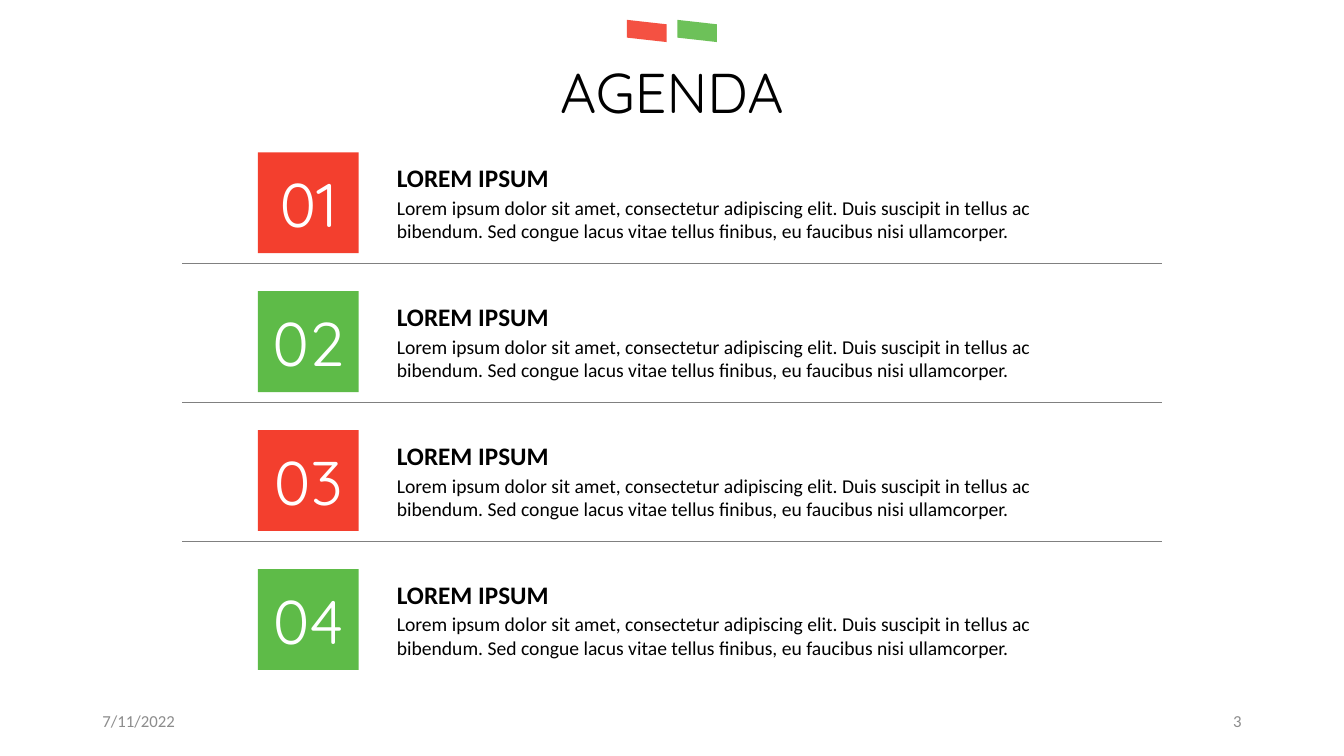
from lxml import etree
from pptx import Presentation
from pptx import util as u
from pptx.dml.color import RGBColor
from pptx.enum import shapes, text
from pptx.oxml.ns import qn

RED, GREEN, BLACK, WHITE = "F33F2E", "5EBB48", "000000", "FFFFFF"
RULE_GREY, FOOTER_GREY = "808080", "8C8C8C"

HEADING = "LOREM IPSUM"
DESCRIPTION = (
    "Lorem ipsum dolor sit amet, consectetur adipiscing elit. Duis suscipit in tellus ac "
    "bibendum. Sed congue lacus vitae tellus finibus, eu faucibus nisi ullamcorper."
)
AGENDA = [
    ("01", HEADING, DESCRIPTION, RED),
    ("02", HEADING, DESCRIPTION, GREEN),
    ("03", HEADING, DESCRIPTION, RED),
    ("04", HEADING, DESCRIPTION, GREEN),
]
FIRST_ROW, ROW_PITCH = 3.84, 3.5


def rgb(value):
    return RGBColor.from_string(value)


class SlideBuilder:
    display_font = "Quicksand"
    body_font = "Calibri"

    def __init__(self, slide):
        self.slide = slide

    def set_text(self, shape, words, size, color=BLACK, font=None, bold=False,
                 align=text.PP_ALIGN.LEFT, anchor=text.MSO_ANCHOR.TOP, inset=True):
        frame = shape.text_frame
        frame.word_wrap = True
        frame.vertical_anchor = anchor
        if not inset:
            frame.margin_left = frame.margin_right = 0
            frame.margin_top = frame.margin_bottom = 0
            frame.auto_size = text.MSO_AUTO_SIZE.SHAPE_TO_FIT_TEXT
        paragraph = frame.paragraphs[0]
        paragraph.text = words
        paragraph.alignment = align
        paragraph.font.name = font or self.body_font
        paragraph.font.size = u.Pt(size)
        paragraph.font.bold = bold
        paragraph.font.color.rgb = rgb(color)

    def title(self, words, left, top, width, height):
        title = self.slide.shapes.title
        title.left, title.top = u.Cm(left), u.Cm(top)
        title.width, title.height = u.Cm(width), u.Cm(height)
        self.set_text(title, words, 40, font=self.display_font,
                      align=text.PP_ALIGN.CENTER, inset=False)

    def text_box(self, words, left, top, width, height, size, **style):
        box = self.slide.shapes.add_textbox(
            u.Cm(left), u.Cm(top), u.Cm(width), u.Cm(height))
        self.set_text(box, words, size, **style)

    def block(self, kind, left, top, width, height, color):
        shape = self.slide.shapes.add_shape(
            kind, u.Cm(left), u.Cm(top), u.Cm(width), u.Cm(height))
        shape.shadow.inherit = False
        shape.fill.solid()
        shape.fill.fore_color.rgb = rgb(color)
        shape.line.fill.background()
        return shape

    def flag(self, left, top, color):
        """Add a slanted, slightly transparent tab above the title."""
        shape = self.block(shapes.MSO_SHAPE.FLOWCHART_DATA, left, top, 0.56, 1, color)
        shape.rotation = 270
        fill_color = shape._element.spPr.find(qn("a:solidFill"))[0]
        etree.SubElement(fill_color, qn("a:alpha")).set("val", "90000")

    def number(self, words, left, top, color):
        square = self.block(shapes.MSO_SHAPE.RECTANGLE, left, top, 2.54, 2.54, color)
        self.set_text(square, words, 44, WHITE, self.display_font,
                      align=text.PP_ALIGN.CENTER, anchor=text.MSO_ANCHOR.MIDDLE)

    def rule(self, left, right, top):
        line = self.slide.shapes.add_connector(
            shapes.MSO_CONNECTOR.STRAIGHT, u.Cm(left), u.Cm(top), u.Cm(right), u.Cm(top))
        line.line.color.rgb = rgb(RULE_GREY)
        line.line.width = u.Pt(0.5)
        etree.SubElement(line._element.spPr, qn("a:effectLst"))

    def footer(self, words, left, align):
        self.text_box(words, left, 17.66, 7.62, 1.01, 12, color=FOOTER_GREY,
                      align=align, anchor=text.MSO_ANCHOR.MIDDLE)


def main():
    presentation = Presentation()
    presentation.slide_width, presentation.slide_height = u.Cm(33.87), u.Cm(19.05)
    builder = SlideBuilder(presentation.slides.add_slide(presentation.slide_layouts[5]))

    builder.flag(16.02, 0.28, RED)
    builder.flag(17.29, 0.28, GREEN)
    builder.title("AGENDA", 0.84, 1.45, 32.18, 1.7)
    builder.footer("7/11/2022", 2.33, text.PP_ALIGN.LEFT)
    builder.footer("3", 23.92, text.PP_ALIGN.RIGHT)

    for row, (number, heading, description, color) in enumerate(AGENDA):
        top = FIRST_ROW + row * ROW_PITCH
        if row < len(AGENDA) - 1:
            builder.rule(4.59, 29.28, top + 2.8)
        builder.number(number, 6.5, top, color)
        builder.text_box(heading, 10, top + 0.25, 17.37, 0.77, 18, bold=True, inset=False)
        builder.text_box(description, 10, top + 1.09, 17.37, 1.19, 14, inset=False)

    presentation.save("out.pptx")


if __name__ == "__main__":
    main()
